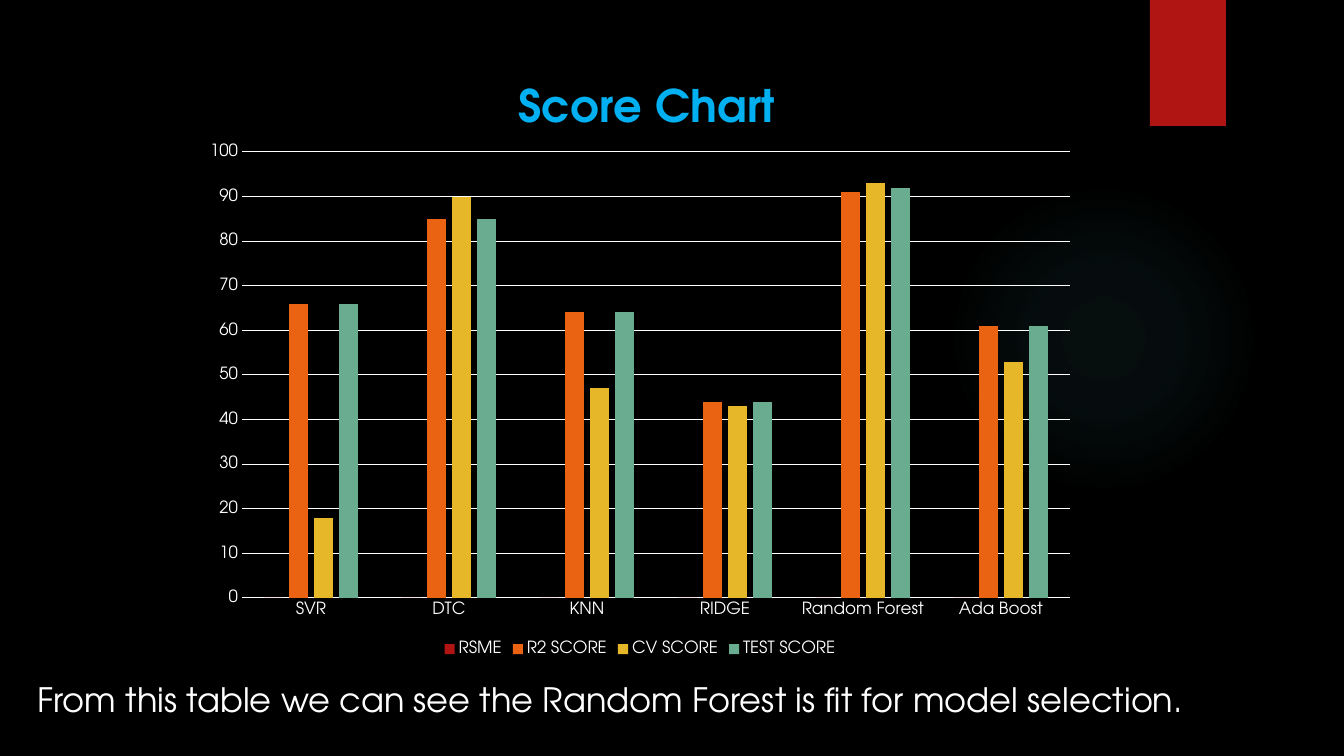
from dataclasses import dataclass

from lxml.etree import SubElement
from pptx import Presentation
from pptx.chart.data import CategoryChartData as Data
from pptx.dml.color import RGBColor as Rgb
from pptx.enum.chart import XL_CHART_TYPE as Kind, XL_LEGEND_POSITION as Side, XL_TICK_MARK as Tick
from pptx.enum.shapes import MSO_SHAPE as Form
from pptx.enum.text import MSO_AUTO_SIZE as Fit
from pptx.oxml import parse_xml
from pptx.oxml.ns import nsdecls, qn
from pptx.util import Pt

SCALE = 914400 / 100.8


@dataclass
class Theme:
    face: str = "TeX Gyre Adventor"
    back: str = "000000"
    ink: str = "FFFFFF"
    title: str = "00B0F0"
    glow: str = "50B9C1"
    red: str = "B01513"
    bars: tuple = ("B01513", "EA6312", "E6B729", "6AAC90")
    big: int = 32
    note: int = 24
    small: int = 12
    rule: float = 0.75


LOOK = Theme()
CATS = ["SVR", "DTC", "KNN", "RIDGE", "Random Forest", "Ada Boost"]
SCORES = {
    "RSME": (0, 0, 0, 0, 0, 0),
    "R2 SCORE": (66, 85, 64, 44, 91, 61),
    "CV SCORE": (18, 90, 47, 43, 93, 53),
    "TEST SCORE": (66, 85, 64, 44, 92, 61),
}


def px(*nums):
    return [round(n * SCALE) for n in nums]


def paint(fill, color):
    fill.solid()
    fill.fore_color.rgb = Rgb.from_string(color)


def style(font, size=LOOK.small, color=LOOK.ink, bold=False):
    font.name, font.size, font.bold = LOOK.face, Pt(size), bold
    font.color.rgb = Rgb.from_string(color)


def write(frame, text, **form):
    run = frame.paragraphs[0].add_run()
    run.text = text
    style(run.font, **form)


def rule(line):
    line.color.rgb = Rgb.from_string(LOOK.ink)
    line.width = Pt(LOOK.rule)


def place(part, index, **spots):
    """Give a chart part a fixed spot, as shares of the chart."""
    lay = part.find(qn("c:layout"))
    if lay is None:
        lay = parse_xml(f"<c:layout {nsdecls('c')}/>")
        part.insert(index, lay)
    hand = SubElement(lay, qn("c:manualLayout"))
    if "w" in spots:
        SubElement(hand, qn("c:layoutTarget"), val="inner")
    for name in ("xMode", "yMode"):
        SubElement(hand, qn("c:" + name), val="edge")
    for name, share in spots.items():
        SubElement(hand, qn("c:" + name), val=f"{share:.4f}")


def block(slide, form, box):
    shape = slide.shapes.add_shape(form, *px(*box))
    shape.shadow.inherit = False
    shape.line.fill.background()
    return shape


def decor(slide, glow, tab):
    # Soft round glow, fading outwards
    shape = block(slide, Form.OVAL, glow)
    paint(shape.fill, LOOK.glow)
    stops = "".join(
        f'<a:gs pos="{pos}000"><a:srgbClr val="{LOOK.glow}"><a:alpha val="{alpha}000"/></a:srgbClr></a:gs>'
        for pos, alpha in ((0, 7), (36, 6), (69, 0), (100, 0)))
    solid = shape._element.spPr.find(qn("a:solidFill"))
    solid.getparent().replace(solid, parse_xml(
        f'<a:gradFill {nsdecls("a")} rotWithShape="1"><a:gsLst>{stops}</a:gsLst><a:path path="circle">'
        '<a:fillToRect l="50000" t="50000" r="50000" b="50000"/></a:path></a:gradFill>'))
    # Red tab at the top edge
    paint(block(slide, Form.RECTANGLE, tab).fill, LOOK.red)


def scores(slide, box):
    wide, high = box[2:]
    data = Data(number_format="0")
    data.categories = CATS
    for name, vals in SCORES.items():
        data.add_series(name, vals)
    chart = slide.shapes.add_chart(Kind.COLUMN_CLUSTERED, *px(*box), data).chart
    style(chart.font)

    # Title and plot area
    chart.has_title = True
    head = chart.chart_title
    write(head.text_frame, "Score Chart", size=LOOK.big, color=LOOK.title, bold=True)
    head.include_in_layout = False
    place(head._element, 1, x=318 / wide, y=12 / high)
    area = chart._chartSpace.chart.plotArea
    place(area, 0, x=50 / wide, y=89 / high, w=828 / wide, h=446 / high)

    # Bars
    plot = chart.plots[0]
    plot.gap_width, plot.overlap, plot.vary_by_categories = 219, -27, False
    for row, color in zip(plot.series, LOOK.bars):
        paint(row.format.fill, color)

    # Axes
    down, up = chart.category_axis, chart.value_axis
    for axis in (down, up):
        axis.major_tick_mark = axis.minor_tick_mark = Tick.NONE
        style(axis.tick_labels.font)
    rule(down.format.line)
    up.format.line.fill.background()
    up.minimum_scale, up.maximum_scale, up.major_unit = 0, 100, 10
    rule(up.major_gridlines.format.line)

    # Legend
    chart.has_legend = True
    chart.legend.position = Side.BOTTOM
    chart.legend.include_in_layout = False
    style(chart.legend.font)


def note(slide, box):
    frame = slide.shapes.add_textbox(*px(*box)).text_frame
    frame.word_wrap = True
    frame.auto_size = Fit.SHAPE_TO_FIT_TEXT
    write(frame, "From this table we can see the Random Forest is fit for model selection.",
          size=LOOK.note)


deck = Presentation()
deck.slide_width, deck.slide_height = px(1344, 756)
page = deck.slides.add_slide(deck.slide_layouts[6])
paint(page.background.fill, LOOK.back)
decor(page, (949, 184, 310, 310), (1150, 0, 76, 126))
scores(page, (192, 63, 896, 598))
note(page, (28, 674, 1275, 50))
deck.save("out.pptx")
